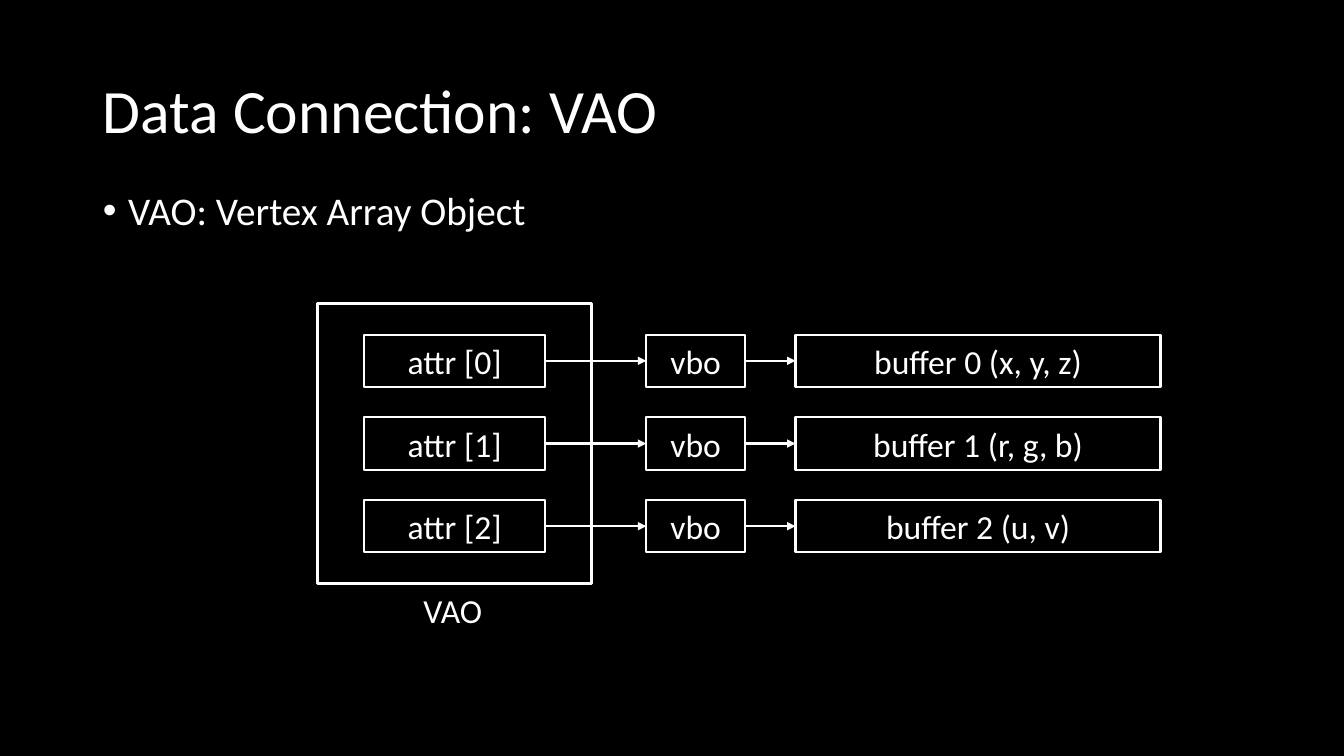
from dataclasses import dataclass
from lxml import etree
from pptx import Presentation, util as u
from pptx.dml.color import RGBColor
from pptx.enum import shapes, text
from pptx.oxml import ns

TITLE = "Data Connection: VAO"
POINTS = ["VAO: Vertex Array Object"]
ROWS = [
    ("attr [0]", "vbo", "buffer 0 (x, y, z)"),
    ("attr [1]", "vbo", "buffer 1 (r, g, b)"),
    ("attr [2]", "vbo", "buffer 2 (u, v)"),
]
LABEL = "VAO"

SLIDE = (1333, 750)
HEAD = (92, 40, 1150, 145)
BODY = (92, 185, 1150, 491)
FRAME = (315, 301, 272, 278)
NOTE = (410, 580, 102, 50)
COLS = [(361, 180), (641, 98), (789, 362)]
TOP, STEP, HIGH = 332, 82, 52
INDENT = 25


@dataclass
class Theme:
    ink: RGBColor = RGBColor(255, 255, 255)
    back: RGBColor = RGBColor(0, 0, 0)
    font: str = "Calibri"
    head: int = 44
    body: int = 28
    label: int = 24
    thin: float = 1.5
    thick: float = 2.25


theme = Theme()


def px(n):
    return u.Emu(n * 9144)


def place(shape, area):
    shape.left, shape.top, shape.width, shape.height = map(px, area)


def write(para, words, size):
    run = para.add_run()
    run.text = words
    run.font.name = theme.font
    run.font.size = u.Pt(size)
    run.font.color.rgb = theme.ink


def stroke(line, width):
    line.color.rgb = theme.ink
    line.width = u.Pt(width)


def box(tree, area, width, words=""):
    shape = tree.add_shape(shapes.MSO_SHAPE.RECTANGLE, *map(px, area))
    shape.shadow.inherit = False
    shape.fill.background()
    stroke(shape.line, width)
    if words:
        frame = shape.text_frame
        frame.vertical_anchor = text.MSO_ANCHOR.MIDDLE
        para = frame.paragraphs[0]
        para.alignment = text.PP_ALIGN.CENTER
        write(para, words, theme.label)
    return shape


def arrow(tree, start, end):
    link = tree.add_connector(shapes.MSO_CONNECTOR.STRAIGHT, 0, 0, 0, 0)
    link.begin_connect(start, 3)
    link.end_connect(end, 1)
    stroke(link.line, theme.thin)
    etree.SubElement(link.line._get_or_add_ln(), ns.qn("a:tailEnd"), type="triangle")
    etree.SubElement(link._element.spPr, ns.qn("a:effectLst"))


def fill_text(slide):
    title, body = slide.placeholders
    place(title, HEAD)
    place(body, BODY)
    for shape in (title, body):
        shape.text_frame.auto_size = text.MSO_AUTO_SIZE.NONE
    title.text_frame.vertical_anchor = text.MSO_ANCHOR.MIDDLE
    para = title.text_frame.paragraphs[0]
    para.alignment = text.PP_ALIGN.LEFT
    para.line_spacing = 0.9
    write(para, TITLE, theme.head)
    for i, words in enumerate(POINTS):
        frame = body.text_frame
        para = frame.add_paragraph() if i else frame.paragraphs[0]
        para.line_spacing = 0.9
        para.space_before = u.Pt(10)
        props = para._p.get_or_add_pPr()
        props.set("marL", str(px(INDENT)))
        props.set("indent", str(-px(INDENT)))
        etree.SubElement(props, ns.qn("a:buFont"), typeface="Arial")
        etree.SubElement(props, ns.qn("a:buChar"), char="•")
        write(para, words, theme.body)


def draw(tree):
    group = tree.add_group_shape().shapes
    box(group, FRAME, theme.thick)
    grid = []
    for i, row in enumerate(ROWS):
        trees = (group, tree, tree)
        grid.append([
            box(home, (left, TOP + i * STEP, wide, HIGH), theme.thin, words)
            for home, (left, wide), words in zip(trees, COLS, row)
        ])
    for row in grid:
        for start, end in zip(row, row[1:]):
            arrow(tree, start, end)
    note = tree.add_textbox(*map(px, NOTE))
    note.text_frame.word_wrap = True
    note.text_frame.auto_size = text.MSO_AUTO_SIZE.SHAPE_TO_FIT_TEXT
    para = note.text_frame.paragraphs[0]
    para.alignment = text.PP_ALIGN.LEFT
    write(para, LABEL, theme.label)


def main():
    deck = Presentation()
    deck.slide_width, deck.slide_height = map(px, SLIDE)
    slide = deck.slides.add_slide(deck.slide_layouts[1])
    slide.background.fill.solid()
    slide.background.fill.fore_color.rgb = theme.back
    fill_text(slide)
    draw(slide.shapes)
    deck.save("out.pptx")


if __name__ == "__main__":
    main()
